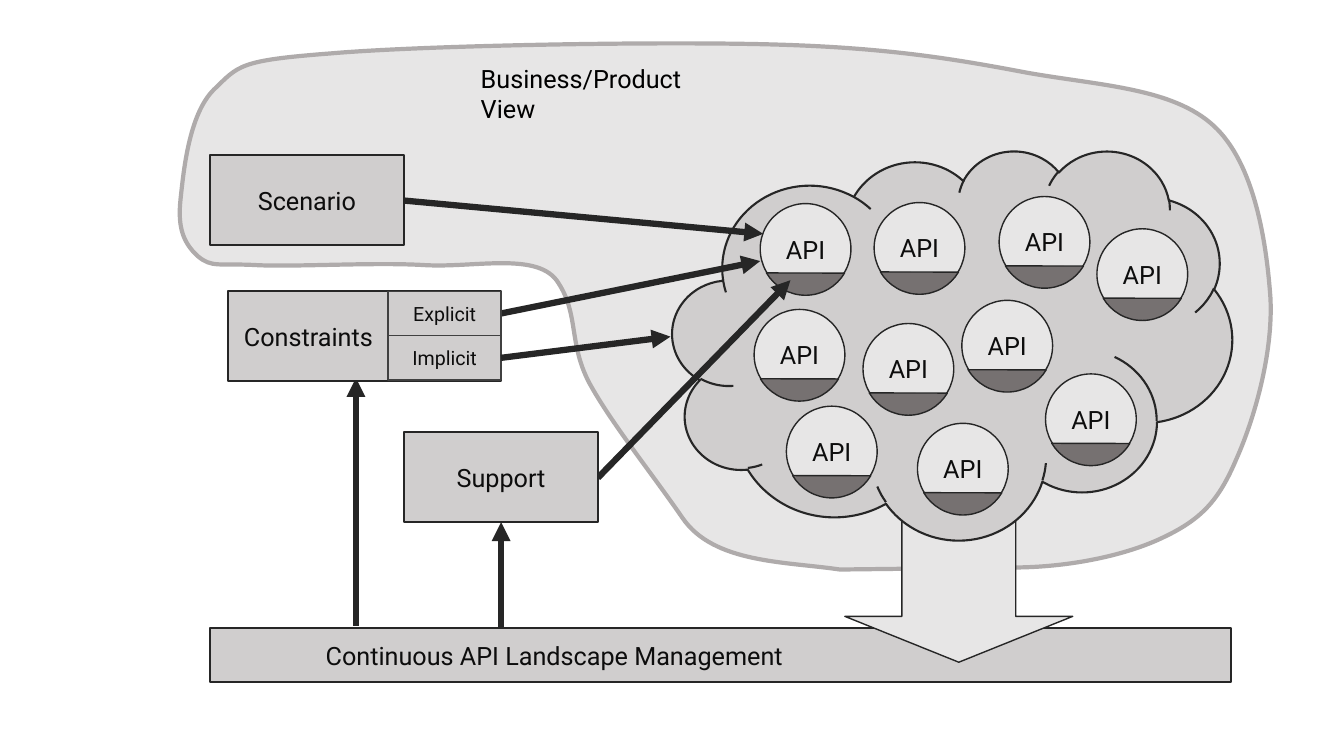
from lxml import etree
from pptx import Presentation
from pptx.dml.color import RGBColor
from pptx.enum.shapes import MSO_CONNECTOR, MSO_SHAPE as SHAPE
from pptx.enum.text import MSO_ANCHOR, PP_ALIGN
from pptx.oxml.ns import qn
from pptx.util import Inches, Pt

FONT = "Roboto"
INK, TEXT, MID, LIGHT, DARK = "262626", "0D0D0D", "D0CECE", "E7E6E6", "767171"
API_SIZE = 0.9
APIS = [(7.48, 3.07), (8.56, 3.21), (8.67, 2.01), (9.54, 2.98), (10.88, 2.27),
        (7.8, 4.03), (9.1, 4.2), (10.37, 3.71), (9.91, 1.95), (7.54, 2.02)]
VIEW_START = (2.12, 0.89)
# Each row: two control points and an end point, or the end point of a line
VIEW_OUTLINE = [
    ((2.37, 0.65), (2.36, 0.6), (3.28, 0.53)),
    ((4.2, 0.45), (6.48, 0.41), (7.63, 0.44)),
    ((8.78, 0.47), (9.44, 0.58), (10.18, 0.72)),
    ((10.91, 0.85), (11.63, 0.87), (12.04, 1.25)),
    ((12.44, 1.62), (12.56, 2.39), (12.6, 2.95)),
    ((12.63, 3.5), (12.44, 4.16), (12.26, 4.56)),
    ((12.09, 4.96), (11.92, 5.15), (11.54, 5.33)),
    ((11.17, 5.51), (10.6, 5.63), (10.04, 5.63)),
    ((8.33, 5.65),),
    ((7.79, 5.57), (7.08, 5.59), (6.77, 5.14)),
    ((6.46, 4.69), (6.05, 4.18), (5.84, 3.79)),
    ((5.64, 3.4), (5.74, 3.12), (5.54, 2.81)),
    ((5.35, 2.49), (4.71, 2.66), (4.21, 2.63)),
    ((3.71, 2.6), (2.92, 2.65), (2.54, 2.63)),
    ((2.17, 2.61), (2.1, 2.66), (1.96, 2.54)),
    ((1.82, 2.41), (1.76, 2.26), (1.79, 1.98)),
    ((1.82, 1.71), (1.87, 1.14), VIEW_START),
]


def rgb(color):
    return RGBColor.from_string(color)


def paint(sp, fill, line, width):
    sp.shadow.inherit = False
    if fill:
        sp.fill.solid()
        sp.fill.fore_color.rgb = rgb(fill)
    else:
        sp.fill.background()
    sp.line.color.rgb = rgb(line)
    sp.line.width = Pt(width)


def write(sp, text, size=18, color=TEXT, align=PP_ALIGN.CENTER):
    p = sp.text_frame.paragraphs[0]
    p.text = text
    p.alignment = align
    p.font.name = FONT
    p.font.size = Pt(size)
    p.font.color.rgb = rgb(color)


def add_shape(shapes, kind, box, fill, line=INK, width=1.0, adjust=()):
    sp = shapes.add_shape(kind, *map(Inches, box))
    for i, value in enumerate(adjust):
        sp.adjustments[i] = value
    paint(sp, fill, line, width)
    return sp


def add_box(s, text, box, fill=MID, line=INK, width=1.5, size=18, indent=None):
    """Labelled rectangle; with an indent, the label is left-aligned there."""
    sp = add_shape(s.shapes, SHAPE.RECTANGLE, box, fill, line, width)
    tf = sp.text_frame
    tf.vertical_anchor = MSO_ANCHOR.MIDDLE
    if indent is None:
        write(sp, text, size)
    else:
        tf.margin_left = Inches(indent)
        write(sp, text, size, align=PP_ALIGN.LEFT)


def add_arrow(s, start, end):
    sp = s.shapes.add_connector(MSO_CONNECTOR.STRAIGHT, *map(Inches, start + end))
    sp.line.color.rgb = rgb(INK)
    sp.line.width = Pt(4.5)
    etree.SubElement(sp.line._get_or_add_ln(), qn("a:tailEnd"), type="triangle")
    etree.SubElement(sp._element.spPr, qn("a:effectLst"))


def add_api(s, x, y):
    """Circle labelled API with a dark segment at its foot."""
    shapes = s.shapes.add_group_shape().shapes
    sp = add_shape(shapes, SHAPE.OVAL, (x, y, API_SIZE, API_SIZE), LIGHT)
    tf = sp.text_frame
    tf.margin_left = tf.margin_right = 0
    tf.vertical_anchor = MSO_ANCHOR.MIDDLE
    write(sp, "API")
    add_shape(shapes, SHAPE.CHORD, (x, y + 0.01, API_SIZE, API_SIZE), DARK,
              adjust=(18.47, 89.721))


def add_view_outline(s):
    """Freeform whose segments with control points become Bézier curves."""
    builder = s.shapes.build_freeform(*map(Inches, VIEW_START))
    builder.add_line_segments([tuple(map(Inches, row[-1])) for row in VIEW_OUTLINE])
    sp = builder.convert_to_shape()
    segments = list(sp._element.iter(qn("a:lnTo")))
    for segment, row in zip(segments, VIEW_OUTLINE):
        if len(row) == 1:
            continue
        curve = etree.Element(qn("a:cubicBezTo"))
        for x, y in row:
            etree.SubElement(curve, qn("a:pt"), x=str(Inches(x) - sp.left),
                             y=str(Inches(y) - sp.top))
        segment.getparent().replace(segment, curve)
    paint(sp, LIGHT, "AFABAB", 3)


def add_view_label(s):
    sp = s.shapes.add_textbox(*map(Inches, (4.67, 0.58, 2.5, 0.7)))
    sp.text_frame.word_wrap = True
    write(sp, "Business/Product View", color="000000", align=PP_ALIGN.LEFT)


def main():
    prs = Presentation()
    prs.slide_width, prs.slide_height = Inches(13.33), Inches(7.5)
    s = prs.slides.add_slide(prs.slide_layouts[6])

    add_view_outline(s)
    add_box(s, "Continuous API Landscape Management", (2.08, 6.23, 10.13, 0.54),
            indent=1.15)
    add_shape(s.shapes, SHAPE.DOWN_ARROW, (8.38, 5.13, 2.26, 1.44), LIGHT,
              adjust=(0.5, 0.316))
    add_shape(s.shapes, SHAPE.CLOUD, (6.67, 1.49, 5.55, 3.86), MID, width=1.5)
    for x, y in APIS:
        add_api(s, x, y)

    add_box(s, "Scenario", (2.08, 1.54, 1.93, 0.89))
    for start, end in [((4.01, 1.99), (7.57, 2.32)),
                       ((4.97, 3.11), (7.54, 2.59)),
                       ((5.93, 4.74), (7.84, 2.78)),
                       ((4.97, 6.24), (4.97, 5.18)),
                       ((3.53, 6.21), (3.53, 3.75))]:
        add_arrow(s, start, end)
    add_view_label(s)
    add_box(s, "Support", (4.01, 4.29, 1.92, 0.89))
    add_box(s, "Constraints", (2.26, 2.89, 2.71, 0.89), indent=0.16)
    for i, text in enumerate(("Explicit", "Implicit")):
        add_box(s, text, (3.85, 2.89 + 0.44 * i, 1.12, 0.44), fill=None,
                line="404040", width=1, size=14)
    add_arrow(s, (4.97, 3.55), (6.65, 3.34))

    prs.save("out.pptx")


if __name__ == "__main__":
    main()
